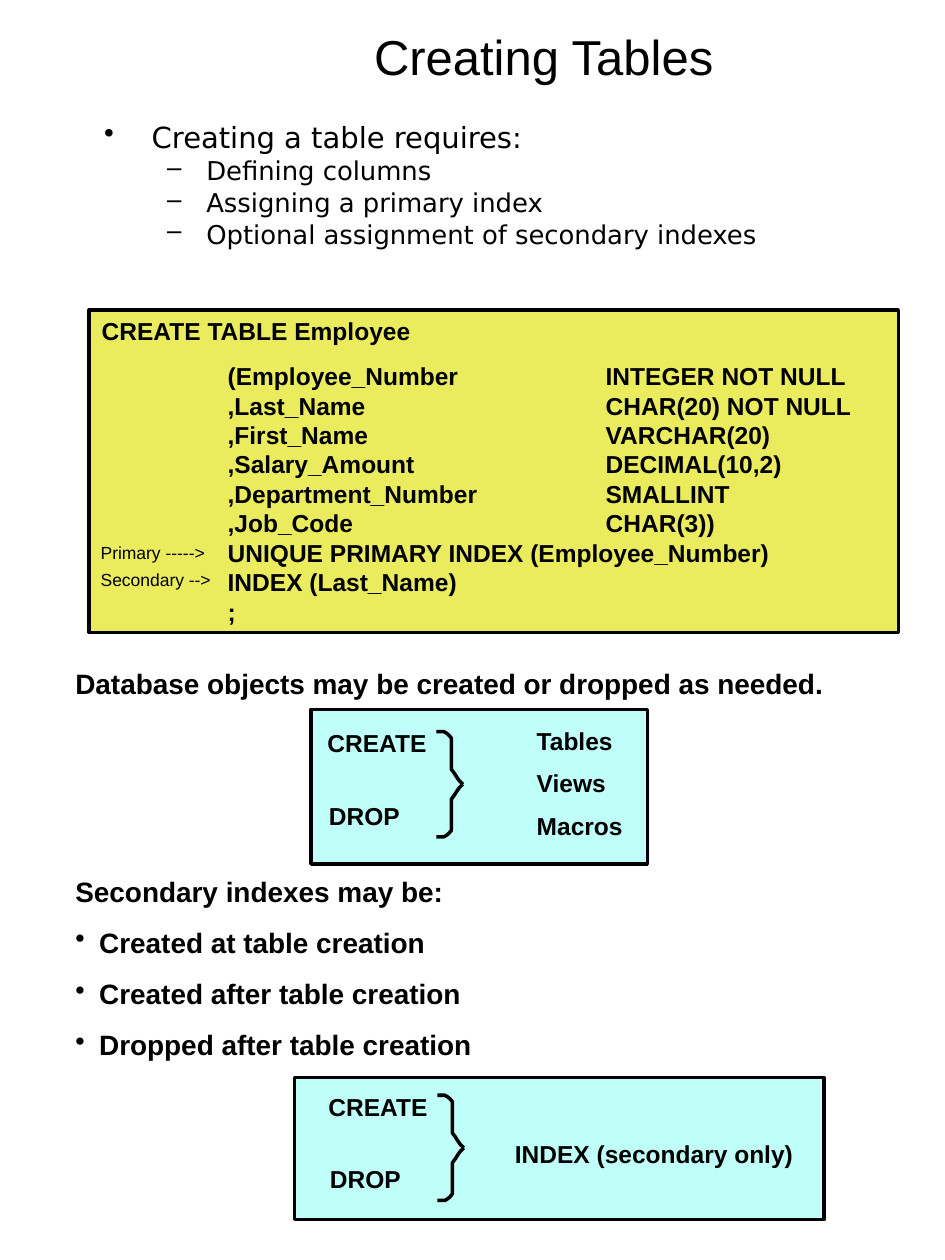
from pptx import Presentation, util as u
from pptx.dml.color import RGBColor
from pptx.enum import shapes, text
from pptx.oxml.ns import qn
from lxml import etree

INK = "000000"
YELLOW = "EAEC5E"
CYAN = "C0FEF9"


def color(value):
    return RGBColor.from_string(value)


def apply(target, values):
    for name, value in values.items():
        setattr(target, name, value)


class Sheet:
    family = "Arial"
    line_width = u.Pt(2)
    wide_inset = (0.25, 0.13)
    tight_inset = (0.2, 0.1)
    brace_half = [(0, 0), (0.15, 0), (0.2, 0.03), (0.25, 0.07), (0.3, 0.13), (0.3, 0.18),
                  (0.3, 0.76), (0.36, 0.84), (0.41, 0.92), (0.46, 0.99), (0.53, 1.06)]

    def __init__(self, deck):
        self.page = deck.slides.add_slide(deck.slide_layouts[6])

    def stroke(self, shape):
        shape.shadow.inherit = False
        shape.line.color.rgb = color(INK)
        shape.line.width = self.line_width

    def panel(self, left, top, width, height, fill):
        box = self.page.shapes.add_shape(
            shapes.MSO_SHAPE.RECTANGLE, u.Cm(left), u.Cm(top), u.Cm(width), u.Cm(height))
        box.fill.solid()
        box.fill.fore_color.rgb = color(fill)
        self.stroke(box)
        return box

    def text(self, left, top, width, height, lines, size, **options):
        box = self.page.shapes.add_textbox(u.Cm(left), u.Cm(top), u.Cm(width), u.Cm(height))
        return self.fill_text(box, lines, size, **options)

    def fill_text(self, box, lines, size, inset=wide_inset, bold=True, family=family,
                  para_format=None, bullets=(), tabs=(), **frame_format):
        frame = box.text_frame
        across, down = (u.Cm(value) for value in inset)
        apply(frame, {
            "margin_left": across, "margin_right": across,
            "margin_top": down, "margin_bottom": down,
            "word_wrap": True, "vertical_anchor": text.MSO_ANCHOR.TOP,
            "auto_size": text.MSO_AUTO_SIZE.SHAPE_TO_FIT_TEXT, **frame_format})
        for index, line in enumerate(lines):
            para = frame.paragraphs[0] if index == 0 else frame.add_paragraph()
            para.text = line
            if bullets:
                self.bullet(para, *bullets[index])
            if tabs:
                self.tab_stops(para, tabs)
            values = {"alignment": text.PP_ALIGN.LEFT, **(para_format or {})}
            if index == 0:
                values.pop("space_before", None)
            apply(para, values)
            for span in para.runs:
                apply(span.font, {"size": u.Pt(size), "bold": bold, "name": family})
                span.font.color.rgb = color(INK)
        return frame

    def bullet(self, para, mark, margin, hanging):
        props = para._p.get_or_add_pPr()
        props.set("marL", str(u.Cm(margin)))
        props.set("indent", str(-u.Cm(hanging)))
        if mark:
            etree.SubElement(props, qn("a:buChar")).set("char", mark)
        else:
            etree.SubElement(props, qn("a:buNone"))

    def tab_stops(self, para, stops):
        tab_list = etree.SubElement(para._p.get_or_add_pPr(), qn("a:tabLst"))
        for stop in stops:
            tab = etree.SubElement(tab_list, qn("a:tab"))
            tab.set("pos", str(u.Cm(stop)))
            tab.set("algn", "l")

    def word(self, left, top, width, label):
        self.text(left, top, width, 0.81, [label], 14, inset=self.tight_inset, word_wrap=False)

    def brace(self, left, top):
        group = self.page.shapes.add_group_shape()
        middle = top + self.brace_half[-1][1]
        for side in (1, -1):
            points = [(u.Cm(left + x), u.Cm(middle + side * (middle - top - y)))
                      for x, y in self.brace_half]
            builder = group.shapes.build_freeform(*points[0])
            builder.add_line_segments(points[1:], close=False)
            half = builder.convert_to_shape()
            half.fill.background()
            self.stroke(half)

    def create_drop(self, left, top):
        self.word(left, top, 2.46, "CREATE")
        self.word(left + 0.03, top + 1.46, 1.85, "DROP")
        self.brace(left + 2.4, top + 0.17)


def main():
    deck = Presentation()
    apply(deck, {"slide_width": u.Cm(19.05), "slide_height": u.Cm(25.4)})
    sheet = Sheet(deck)

    sheet.panel(5.94, 21.72, 10.67, 2.87, CYAN)
    sheet.panel(6.27, 14.3, 6.78, 3.12, CYAN)
    for row, (label, width) in enumerate([("Tables", 1.98), ("Views", 1.88), ("Macros", 2.16)]):
        sheet.word(10.62, 14.53 + row * 0.86, width, label)
    sheet.create_drop(6.4, 14.58)
    sheet.text(1.27, 13.31, 17.48, 0.94,
               ["Database objects may be created or dropped as needed."], 16)

    columns = [
        ("(Employee_Number", "INTEGER NOT NULL"),
        (",Last_Name", "CHAR(20) NOT NULL"),
        (",First_Name", "VARCHAR(20)"),
        (",Salary_Amount", "DECIMAL(10,2)"),
        (",Department_Number", "SMALLINT"),
        (",Job_Code", "CHAR(3))"),
        ("UNIQUE PRIMARY INDEX (Employee_Number)",),
        ("INDEX (Last_Name)",),
        (";",),
    ]
    definition = "\v".join("\t" + "\t".join(column) for column in columns)
    statement = sheet.panel(1.8, 6.25, 16.31, 6.5, YELLOW)
    sheet.fill_text(statement, ["CREATE TABLE Employee", definition], 14,
                    tabs=(2.54, 10.16), para_format={"space_before": u.Pt(8.8)})
    sheet.text(1.78, 10.87, 2.77, 1.14, ["Primary ----->", "Secondary -->"], 10, bold=False,
               para_format={"space_before": u.Pt(6.2), "line_spacing": 0.8})

    sheet.text(1.27, 17.5, 14.86, 4.01,
               ["Secondary indexes may be:", "Created at table creation",
                "Created after table creation", "Dropped after table creation"], 16,
               bullets=[("", 0.48, 0.48)] + [("•", 0.48, 0.48)] * 3,
               para_format={"space_before": u.Pt(10)})
    sheet.create_drop(6.42, 21.91)
    sheet.text(10.13, 22.83, 7.21, 0.84, ["INDEX (secondary only)"], 14)

    sheet.text(4.14, 0, 13.64, 2.26, ["Creating Tables"], 28, bold=False,
               para_format={"alignment": text.PP_ALIGN.CENTER},
               vertical_anchor=text.MSO_ANCHOR.MIDDLE, auto_size=text.MSO_AUTO_SIZE.NONE)
    frame = sheet.text(
        1.85, 2.41, 15.29, 2.77,
        ["Creating a table requires:", "Defining columns", "Assigning a primary index",
         "Optional assignment of secondary indexes"], 14.8,
        bold=False, family="DejaVu Sans", auto_size=text.MSO_AUTO_SIZE.NONE,
        bullets=[("•", 0.96, 0.96)] + [("–", 2.06, 0.79)] * 3,
        para_format={"space_before": u.Pt(4), "line_spacing": 0.8})
    frame.paragraphs[0].runs[0].font.size = u.Pt(16.6)
    for para in frame.paragraphs[1:]:
        para.level = 1

    deck.save("out.pptx")


if __name__ == "__main__":
    main()
